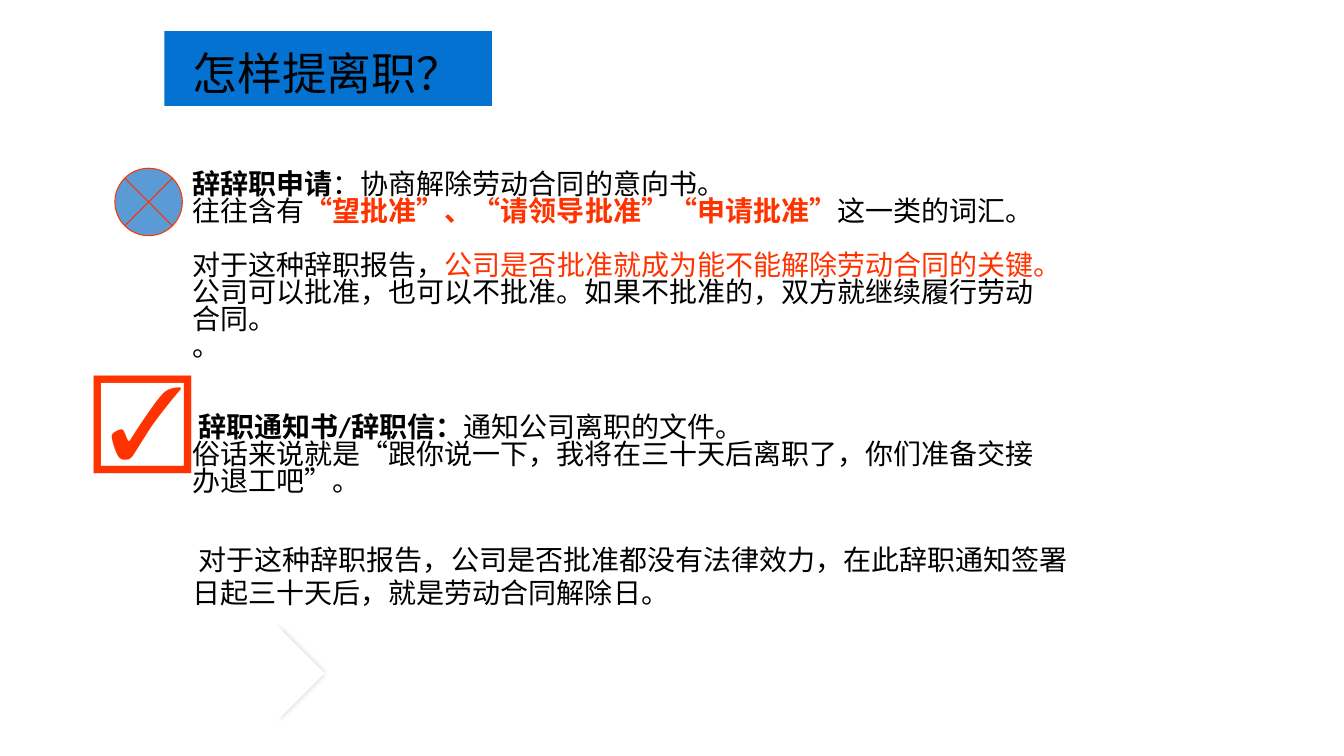
from dataclasses import dataclass

from lxml import etree
from pptx import Presentation
from pptx.dml.color import RGBColor
from pptx.enum import shapes, text
from pptx.oxml import ns
from pptx.util import Pt


@dataclass(frozen=True)
class Theme:
    ink: str = "000000"
    accent: str = "FF3300"
    banner: str = "0472D1"
    badge: str = "5B9BD5"
    paper: str = "FFFFFF"
    shade: str = "808080"
    body_font: str = "Calibri"
    cjk_font: str = "Noto Sans CJK SC"
    symbol_font: str = "Arial"
    title_size: float = 32
    body_size: float = 20
    mark_size: float = 72


THEME = Theme()
BLANK_LINE = 19.3


def rgb(value):
    return RGBColor.from_string(value)


def add_shape(parent, kind, box, fill, line=None):
    sp = parent.add_shape(kind, *map(Pt, box))
    sp.shadow.inherit = False
    sp.fill.solid()
    sp.fill.fore_color.rgb = rgb(fill)
    if line:
        sp.line.color.rgb = rgb(line)
        sp.line.width = Pt(0.75)
    else:
        sp.line.fill.background()
    return sp


def add_text(parent, box, wrap=True):
    tf = parent.add_textbox(*map(Pt, box)).text_frame
    tf.word_wrap = wrap
    return tf


def set_font(font, size, color=THEME.ink, name=THEME.body_font, bold=None):
    font.size, font.name, font.bold = Pt(size), name, bold
    font.color.rgb = rgb(color)


def draw_title(slide, box):
    left, top, width, height = box
    group = slide.shapes.add_group_shape().shapes
    add_shape(group, shapes.MSO_SHAPE.RECTANGLE, box, THEME.banner)
    tf = add_text(group, (left + 13, top + 6.5, width - 27, height - 7), wrap=False)
    p = tf.paragraphs[0]
    p.text = "怎样提离职？"
    set_font(p.font, THEME.title_size)


def draw_comparison(slide, box):
    """Each paragraph is (blank lines before, font, runs of text, bold, colour)."""
    ink, accent = THEME.ink, THEME.accent
    body, cjk = THEME.body_font, THEME.cjk_font
    paragraphs = [
        (0, body, [("辞辞职申请", True, ink), ("：协商解除劳动合同的意向书。", False, ink)]),
        (0, body, [("往往含有", False, ink),
                   ("“望批准”、“请领导批准”“申请批准”", True, accent),
                   ("这一类的词汇。", False, ink)]),
        (1, cjk, [("对于这种辞职报告，", False, ink),
                  ("公司是否批准就成为能不能解除劳动合同的关键。", False, accent),
                  ("公司可以批准，也可以不批准。如果不批准的，双方就继续履行劳动合同。", False, ink)]),
        (0, cjk, [("。", False, ink)]),
        (2, body, [(" 辞职通知书/辞职信：", True, ink), ("通知公司离职的文件。", False, ink)]),
        (0, body, [("俗话来说就是“跟你说一下，我将在三十天后离职了，你们准备交接办退工吧”。", False, ink)]),
    ]
    tf = add_text(slide.shapes, box)
    for i, (blanks, font, runs) in enumerate(paragraphs):
        p = tf.add_paragraph() if i else tf.paragraphs[0]
        p.line_spacing = 0.8
        p.space_before = Pt(blanks * BLANK_LINE)
        for words, bold, color in runs:
            r = p.add_run()
            r.text = words
            set_font(r.font, THEME.body_size, color, font, bold)


def draw_conclusion(slide, box):
    p = add_text(slide.shapes, box).paragraphs[0]
    p.text = " 对于这种辞职报告，公司是否批准都没有法律效力，在此辞职通知签署日起三十天后，就是劳动合同解除日。"
    set_font(p.font, THEME.body_size)


def draw_arrow(slide, box):
    """White pentagon over a soft, half-transparent shade set to its right."""
    left, top, width, height = box
    kind = shapes.MSO_SHAPE.PENTAGON
    shade = add_shape(slide.shapes, kind, (left + 8.5, top, width, height), THEME.shade)
    sp_pr = shade.element.spPr
    color = sp_pr.find(".//" + ns.qn("a:srgbClr"))
    etree.SubElement(color, ns.qn("a:alpha"), val="49000")
    effects = sp_pr.find(ns.qn("a:effectLst"))
    etree.SubElement(effects, ns.qn("a:softEdge"), rad=str(Pt(5)))
    add_shape(slide.shapes, kind, box, THEME.paper)


def draw_cross_badge(slide, box):
    add_shape(slide.shapes, shapes.MSO_SHAPE.FLOWCHART_SUMMING_JUNCTION, box,
              THEME.badge, THEME.accent)


def draw_check_mark(slide, box):
    p = add_text(slide.shapes, box).paragraphs[0]
    p.text = "☑"
    set_font(p.font, THEME.mark_size, THEME.accent, THEME.symbol_font, True)


def main():
    prs = Presentation()
    prs.slide_width, prs.slide_height = Pt(960), Pt(540)
    slide = prs.slides.add_slide(prs.slide_layouts[6])
    draw_conclusion(slide, (130.3, 383.8, 651.6, 55.4))
    draw_arrow(slide, (117.4, 445.7, 114.5, 70.5))
    draw_title(slide, (117.4, 22.3, 234, 53.3))
    draw_comparison(slide, (130.3, 120.2, 632.2, 239.8))
    draw_cross_badge(slide, (82.1, 120.2, 48.2, 48.2))
    draw_check_mark(slide, (59, 248.4, 80.6, 93.6))
    prs.save("out.pptx")


if __name__ == "__main__":
    main()
